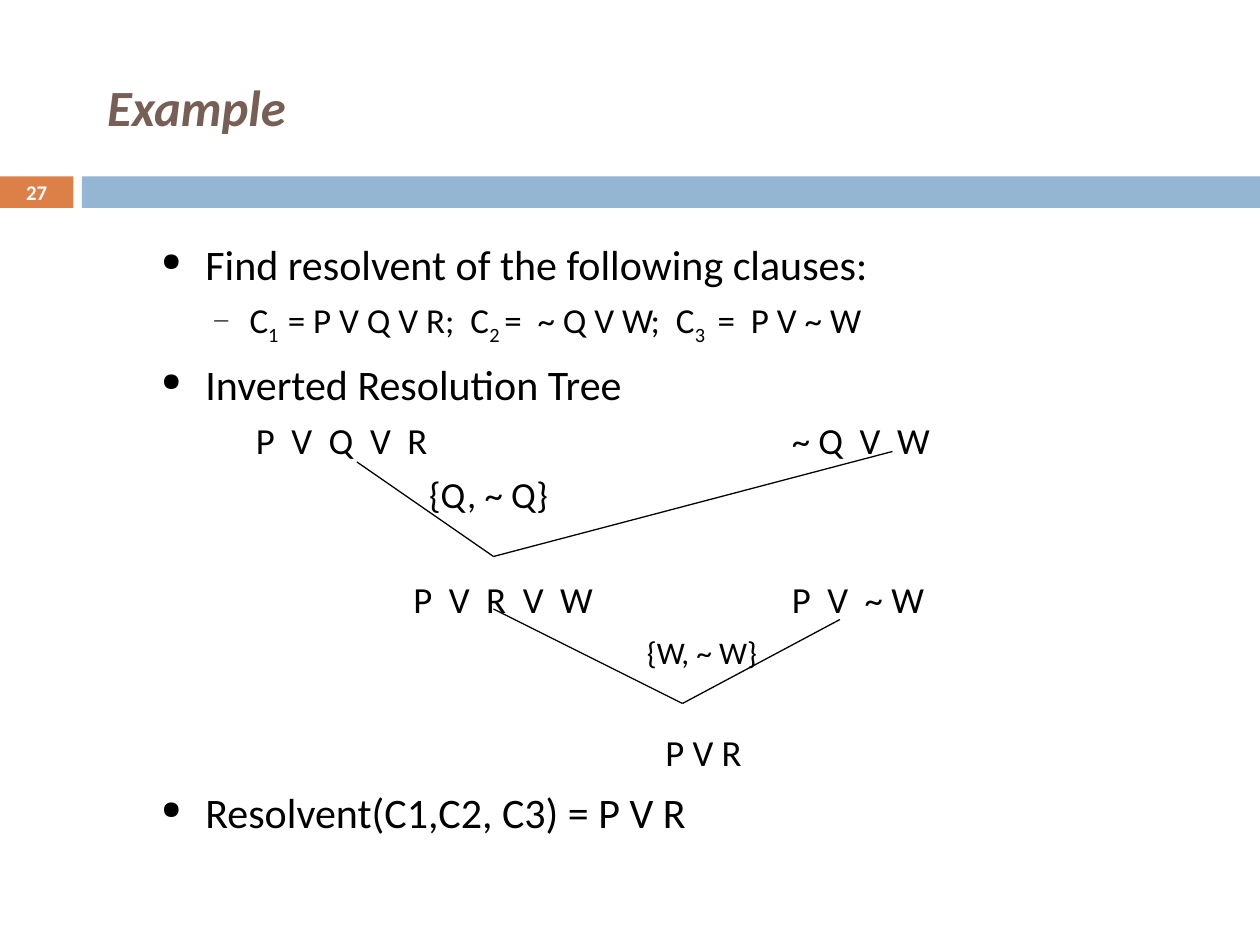
from dataclasses import dataclass

from lxml import etree
from pptx import Presentation
from pptx.dml.color import RGBColor
from pptx.enum.shapes import MSO_CONNECTOR, MSO_SHAPE
from pptx.enum.text import MSO_ANCHOR, PP_ALIGN
from pptx.oxml.ns import qn
from pptx.util import Pt

RECTANGLE = MSO_SHAPE.RECTANGLE
STRAIGHT = MSO_CONNECTOR.STRAIGHT
TOP, MIDDLE = MSO_ANCHOR.TOP, MSO_ANCHOR.MIDDLE
LEFT, CENTER, JUSTIFY = PP_ALIGN.LEFT, PP_ALIGN.CENTER, PP_ALIGN.JUSTIFY


@dataclass(frozen=True)
class Theme:
    font: str = "Calibri"
    ink: str = "000000"
    white: str = "FFFFFF"
    title_color: str = "775F55"
    accent: str = "DD8047"
    band: str = "94B6D2"
    title: float = 29
    heading: float = 24
    detail: float = 20
    clause: float = 21
    pair: float = 18
    number: float = 11.9


@dataclass(frozen=True)
class Level:
    size: float
    symbol: str
    symbol_percent: int
    margin: float
    hang: float
    space_before: float


class SlideBuilder:
    def __init__(self, page, theme):
        self.page = page
        self.theme = theme

    def block(self, left, top, width, height, color):
        shape = self.page.shapes.add_shape(
            RECTANGLE, Pt(left), Pt(top), Pt(width), Pt(height))
        shape.fill.solid()
        shape.fill.fore_color.rgb = RGBColor.from_string(color)
        shape.line.fill.background()
        shape.shadow.inherit = False

    def frame(self, left, top, width, height, anchor=TOP):
        box = self.page.shapes.add_textbox(Pt(left), Pt(top), Pt(width), Pt(height))
        frame = box.text_frame
        frame.word_wrap = True
        frame.vertical_anchor = anchor
        frame.margin_left = frame.margin_right = 0
        frame.margin_top = frame.margin_bottom = 0
        return frame

    def style(self, para, size, color, align=LEFT, bold=False, italic=False):
        para.alignment = align
        font = para.font
        font.name, font.size = self.theme.font, Pt(size)
        font.bold, font.italic = bold, italic
        font.color.rgb = RGBColor.from_string(color)

    def text(self, left, top, width, height, words, size, color,
             anchor=TOP, **look):
        para = self.frame(left, top, width, height, anchor).paragraphs[0]
        para.text = words
        self.style(para, size, color, **look)

    def bullets(self, left, top, width, height, items):
        frame = self.frame(left, top, width, height)
        for index, (level, spans) in enumerate(items):
            para = frame.add_paragraph() if index else frame.paragraphs[0]
            self.style(para, level.size, self.theme.ink, JUSTIFY)
            para.space_before = Pt(level.space_before)
            self.mark(para, level)
            for words, lowered in spans:
                span = para.add_run()
                span.text = words
                if lowered:
                    span.font._element.set("baseline", "-25000")

    def mark(self, para, level):
        properties = para._p.get_or_add_pPr()
        properties.set("marL", str(Pt(level.margin)))
        properties.set("indent", str(Pt(-level.hang)))
        marks = [
            etree.Element(qn("a:buClr")),
            etree.Element(qn("a:buSzPct"), val=str(level.symbol_percent * 1000)),
            etree.Element(qn("a:buChar"), char=level.symbol),
        ]
        etree.SubElement(marks[0], qn("a:srgbClr"), val=self.theme.ink)
        defaults = properties.find(qn("a:defRPr"))
        for mark in marks:
            defaults.addprevious(mark)

    def line(self, start, end):
        connector = self.page.shapes.add_connector(
            STRAIGHT, *(Pt(value) for value in (*start, *end)))
        connector.line.width = Pt(0.75)
        connector.line.color.rgb = RGBColor.from_string(self.theme.ink)
        etree.SubElement(connector._element.spPr, qn("a:effectLst"))


def main():
    theme = Theme()
    heading = Level(theme.heading, "●", 60, 25.2, 25.2, 7)
    detail = Level(theme.detail, "−", 70, 50.4, 21.6, 5.5)

    deck = Presentation()
    deck.slide_width, deck.slide_height = Pt(720), Pt(540)
    builder = SlideBuilder(deck.slides.add_slide(deck.slide_layouts[6]), theme)

    builder.block(0, 100.8, 42, 18, theme.accent)
    builder.block(46.8, 100.8, 673.2, 18, theme.band)
    builder.text(61.2, 36, 615.6, 50, "Example", theme.title, theme.title_color,
                 anchor=MIDDLE, bold=True, italic=True)

    clauses = [
        ("C", False), ("1  ", True), ("= P V Q V R;  C", False),
        ("2 ", True), ("=  ~ Q V W;  C", False),
        ("3 ", True), (" =  P V ~ W", False),
    ]
    builder.bullets(92.2, 136.2, 565, 98, [
        (heading, [("Find resolvent of the following clauses:", False)]),
        (detail, clauses),
        (heading, [("Inverted Resolution Tree", False)]),
    ])
    builder.bullets(92.2, 449.5, 565, 30, [
        (heading, [("Resolvent(C1,C2, C3) = P V R", False)]),
    ])

    right_column = 452.5
    tree_labels = [
        ("P  V  Q  V  R", 146.2, 239, theme.clause),
        ("~ Q  V  W", right_column, 239, theme.clause),
        ("{Q, ~ Q}", 245.2, 269.5, theme.clause),
        ("P  V  R  V  W", 236.2, 329.5, theme.clause),
        ("P  V  ~ W", right_column, 329.5, theme.clause),
        ("{W, ~ W}", 369.7, 361.5, theme.pair),
        ("P V R", 380.2, 417, theme.clause),
    ]
    for words, left, top, size in tree_labels:
        builder.text(left, top, 130, 26, words, size, theme.ink)

    first_join, second_join = (282, 318), (390, 402)
    branches = [
        ((204, 264), first_join),
        ((510, 258), first_join),
        ((282, 348), second_join),
        ((480, 354), second_join),
    ]
    for start, end in branches:
        builder.line(start, end)

    builder.text(0, 100.3, 42, 19, "27", theme.number, theme.white,
                 anchor=MIDDLE, align=CENTER, bold=True)
    deck.save("out.pptx")


if __name__ == "__main__":
    main()
